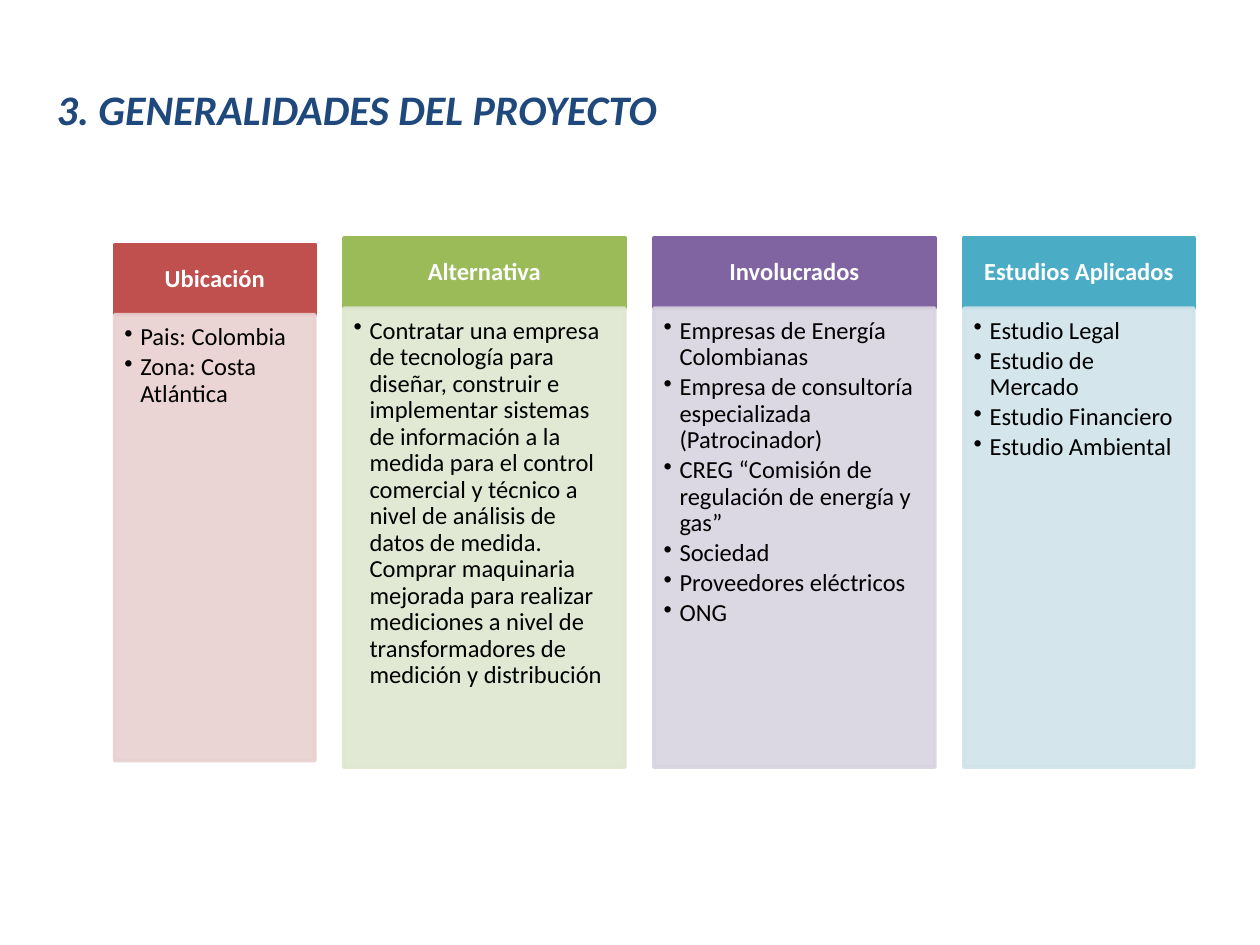
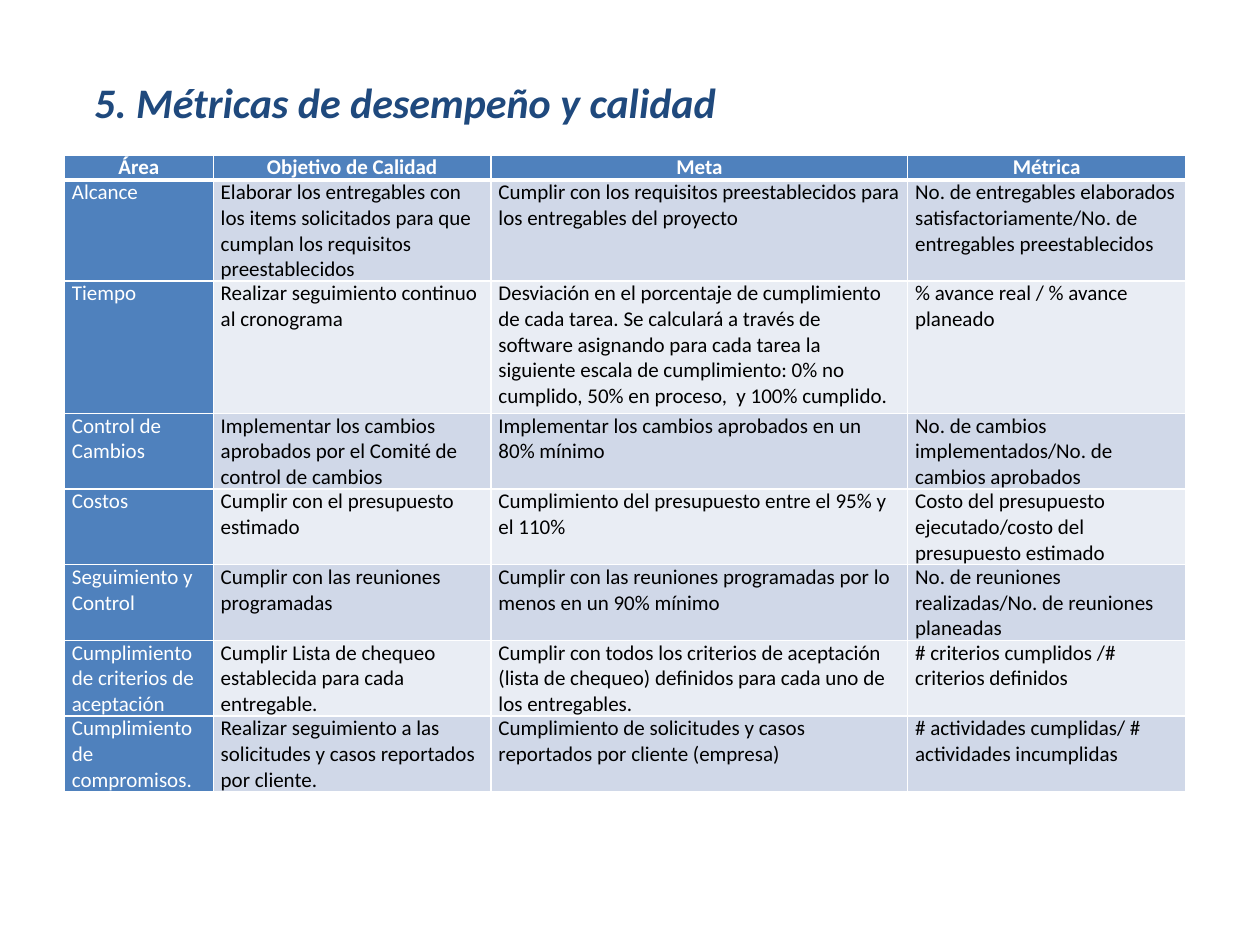
"""Build two project slides: general overview columns and the quality metrics table."""
from lxml import etree
from pptx import Presentation, util as u
from pptx.dml import color
from pptx.enum import shapes, text
from pptx.oxml import ns

FONT = "Calibri"
NAVY, WHITE, BLACK, BLUE = "1F497D", "FFFFFF", "000000", "4F81BD"
BANDS = ["D0D8E8", "E9EDF4"]


def rgb(value):
    return color.RGBColor.from_string(value)


def write(frame, lines, size, ink, bold=False, italic=False, align=None):
    frame.text = "\n".join(lines)
    for paragraph in frame.paragraphs:
        paragraph.alignment = align or text.PP_ALIGN.LEFT
        for run in paragraph.runs:
            run.font.name, run.font.size = FONT, u.Pt(size)
            run.font.bold, run.font.italic = bold, italic
            run.font.color.rgb = rgb(ink)


deck = Presentation()
deck.slide_width, deck.slide_height = u.Cm(25.4), u.Cm(19.05)

titles = [
    ("3. GENERALIDADES DEL PROYECTO", 0.89, 1.55, 12.73),
    ("5. Métricas de desempeño y calidad", 1.65, 1.42, 13.16),
]
for title, left, top, width in titles:
    slide = deck.slides.add_slide(deck.slide_layouts[6])
    heading = slide.shapes.add_textbox(u.Cm(left), u.Cm(top), u.Cm(width), u.Cm(1.27))
    heading.text_frame.word_wrap = False
    write(heading.text_frame, [title], 24, NAVY, bold=True, italic=True)
overview, metrics = deck.slides

topics = [
    ("Ubicación", "C0504D", "E8D0D0", 4.04, 8.99,
     ["Pais: Colombia", "Zona: Costa Atlántica"]),
    ("Alternativa", "9BBB59", "DEE7D1", 5.67, 9.25,
     ["Contratar una empresa de tecnología para diseñar, construir e implementar "
      "sistemas de información a la medida para el control comercial y técnico a nivel "
      "de análisis de datos de medida. Comprar maquinaria mejorada para realizar "
      "mediciones a nivel de transformadores de medición y distribución"]),
    ("Involucrados", "8064A2", "D8D3E0", 5.67, 9.25,
     ["Empresas de Energía Colombianas",
      "Empresa de consultoría especializada (Patrocinador)",
      "CREG “Comisión de regulación de energía y gas”",
      "Sociedad", "Proveedores eléctricos", "ONG"]),
    ("Estudios Aplicados", "4BACC6", "D0E3EA", 4.64, 9.25,
     ["Estudio Legal", "Estudio de Mercado", "Estudio Financiero", "Estudio Ambiental"]),
]
TOPIC_GAP, HEAD_HEIGHT, MIDDLE = 0.58, 1.42, 10.13
left = 2.31
for topic, strong, pale, width, body_height, points in topics:
    top = MIDDLE - (HEAD_HEIGHT + body_height) / 2
    head = overview.shapes.add_shape(
        shapes.MSO_SHAPE.RECTANGLE, u.Cm(left), u.Cm(top), u.Cm(width), u.Cm(HEAD_HEIGHT))
    body = overview.shapes.add_shape(
        shapes.MSO_SHAPE.RECTANGLE, u.Cm(left), u.Cm(top + HEAD_HEIGHT),
        u.Cm(width), u.Cm(body_height))
    for panel, tone in [(head, strong), (body, pale)]:
        panel.shadow.inherit = False
        panel.fill.solid()
        panel.fill.fore_color.rgb = rgb(tone)
        panel.line.color.rgb = rgb(tone)
        panel.line.width = u.Pt(2)
        panel.text_frame.word_wrap = True
    for tint in body.element.spPr.iter(ns.qn("a:srgbClr")):
        etree.SubElement(tint, ns.qn("a:alpha"), val="90000")

    frame = head.text_frame
    frame.vertical_anchor = text.MSO_ANCHOR.MIDDLE
    frame.margin_left = frame.margin_right = u.Cm(0.28)
    frame.margin_top = frame.margin_bottom = u.Cm(0.16)
    write(frame, [topic], 14, WHITE, bold=True, align=text.PP_ALIGN.CENTER)
    frame.paragraphs[0].line_spacing = 0.9

    frame = body.text_frame
    frame.vertical_anchor = text.MSO_ANCHOR.TOP
    frame.margin_left = frame.margin_top = u.Cm(0.2)
    frame.margin_right, frame.margin_bottom = u.Cm(0.28), u.Cm(0.3)
    write(frame, points, 14, BLACK)
    for point in frame.paragraphs:
        properties = point._p.get_or_add_pPr()
        properties.set("marL", str(u.Cm(0.32)))
        properties.set("indent", str(-u.Cm(0.32)))
        etree.SubElement(properties, ns.qn("a:buChar"), char="•")
        point.line_spacing, point.space_after = 0.9, u.Pt(2)
    left += width + TOPIC_GAP

rows = [
    ("Área", "Objetivo de Calidad", "Meta", "Métrica"),
    ("Alcance",
     "Elaborar los entregables con los items solicitados para que cumplan los requisitos "
     "preestablecidos",
     "Cumplir con los requisitos preestablecidos para los entregables del proyecto",
     "No. de entregables elaborados satisfactoriamente/No. de entregables preestablecidos"),
    ("Tiempo",
     "Realizar seguimiento continuo al cronograma",
     "Desviación en el porcentaje de cumplimiento de cada tarea. Se calculará a través de "
     "software asignando para cada tarea la siguiente escala de cumplimiento: 0% no "
     "cumplido, 50% en proceso,  y 100% cumplido.",
     "% avance real / % avance planeado"),
    ("Control de Cambios",
     "Implementar los cambios aprobados por el Comité de control de cambios",
     "Implementar los cambios aprobados en un 80% mínimo",
     "No. de cambios implementados/No. de cambios aprobados"),
    ("Costos",
     "Cumplir con el presupuesto estimado",
     "Cumplimiento del presupuesto entre el 95% y el 110%",
     "Costo del presupuesto ejecutado/costo del presupuesto estimado"),
    ("Seguimiento y Control",
     "Cumplir con las reuniones programadas",
     "Cumplir con las reuniones programadas por lo menos en un 90% mínimo",
     "No. de reuniones realizadas/No. de reuniones planeadas"),
    ("Cumplimiento de criterios de aceptación",
     "Cumplir Lista de chequeo establecida para cada entregable.",
     "Cumplir con todos los criterios de aceptación (lista de chequeo) definidos para cada "
     "uno de los entregables.",
     "# criterios cumplidos /# criterios definidos"),
    ("Cumplimiento de compromisos.",
     "Realizar seguimiento a las solicitudes y casos reportados por cliente.",
     "Cumplimiento de solicitudes y casos reportados por cliente (empresa)",
     "# actividades cumplidas/ # actividades incumplidas"),
]
column_widths = [3.0, 5.6, 8.4, 5.6]
row_heights = [0.41, 1.8, 2.67, 1.24, 1.24, 1.5, 1.5, 1.19]
grid = metrics.shapes.add_table(
    len(rows), len(column_widths), u.Cm(1.3), u.Cm(3.12),
    u.Cm(sum(column_widths)), u.Cm(sum(row_heights))).table
for column, width in zip(grid.columns, column_widths):
    column.width = u.Cm(width)
for r, (row, height) in enumerate(zip(rows, row_heights)):
    grid.rows[r].height = u.Cm(height)
    for c, wording in enumerate(row):
        cell = grid.cell(r, c)
        cell.margin_left = cell.margin_right = u.Cm(0.15)
        cell.margin_top = cell.margin_bottom = 0
        labelled = r == 0 or c == 0
        write(cell.text_frame, [wording], 12, WHITE if labelled else BLACK, bold=r == 0,
              align=text.PP_ALIGN.CENTER if r == 0 else None)
        for side in ["lnL", "lnR", "lnT", "lnB"]:
            under_header = (r, side) in [(0, "lnB"), (1, "lnT")]
            border = etree.SubElement(cell._tc.get_or_add_tcPr(), ns.qn("a:" + side),
                                      w=str(u.Pt(3 if under_header else 1)))
            ink = etree.SubElement(border, ns.qn("a:solidFill"))
            etree.SubElement(ink, ns.qn("a:srgbClr"), val=WHITE)
        cell.fill.solid()
        cell.fill.fore_color.rgb = rgb(BLUE if labelled else BANDS[(r - 1) % 2])

deck.save("out.pptx")
